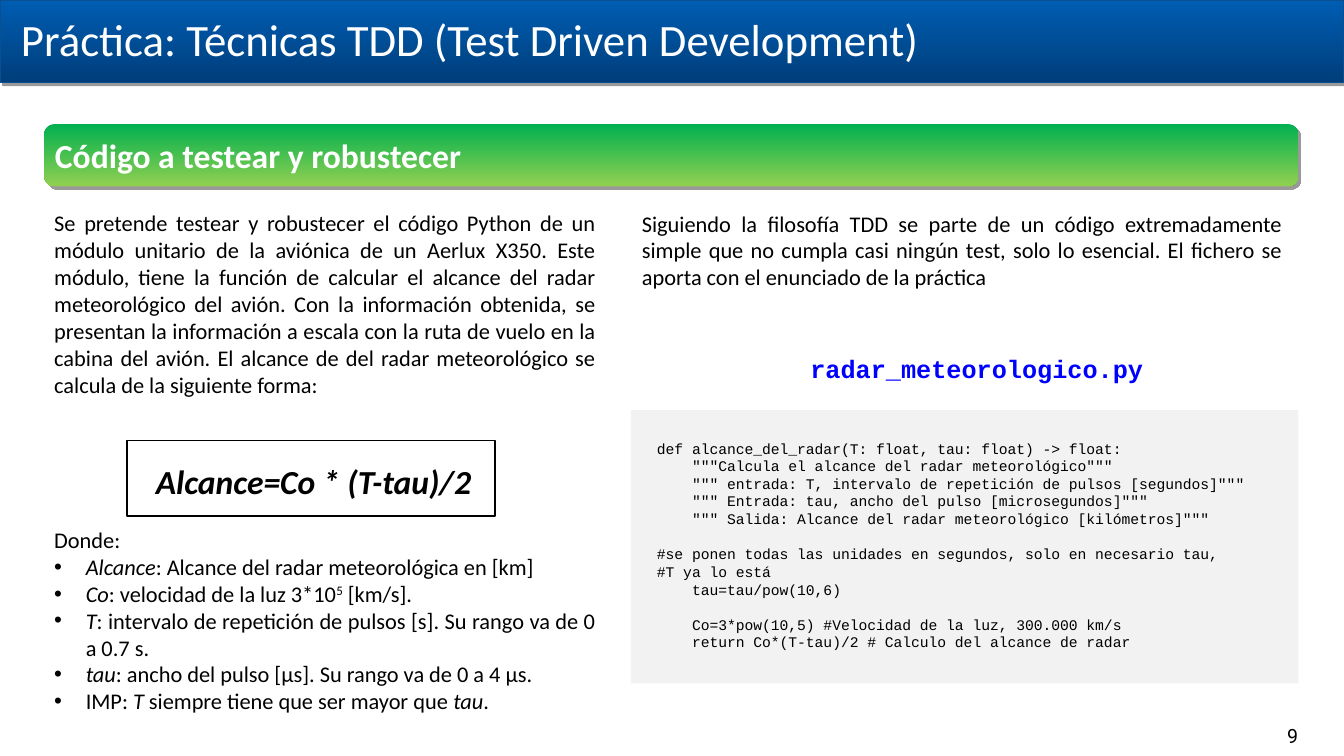
from dataclasses import dataclass

from lxml.etree import SubElement
from pptx import Presentation
from pptx.dml.color import RGBColor
from pptx.enum.shapes import MSO_SHAPE as Shape
from pptx.enum.text import MSO_ANCHOR as Anchor, PP_ALIGN as Align
from pptx.oxml.ns import qn
from pptx.util import Pt

TITLE = "Práctica: Técnicas TDD (Test Driven Development)"
SECTION = "Código a testear y robustecer"
INTRO = (
    "Se pretende testear y robustecer el código Python de un módulo unitario de la "
    "aviónica de un Aerlux X350. Este módulo, tiene la función de calcular el alcance "
    "del radar meteorológico del avión. Con la información obtenida, se presentan la "
    "información a escala con la ruta de vuelo en la cabina del avión. El alcance de del "
    "radar meteorológico se calcula de la siguiente forma:"
)
FORMULA = "Alcance=Co * (T-tau)/2"
# Each term is a list of (text, style) runs; style is "", "italic" or "super".
TERMS = [
    [("Alcance", "italic"), (": Alcance del radar meteorológica en [km]", "")],
    [("Co", "italic"), (": velocidad de la luz 3*10", ""), ("5", "super"), (" [km/s].", "")],
    [("T", "italic"),
     (": intervalo de repetición de pulsos [s]. Su rango va de 0 a 0.7 s.", "")],
    [("tau", "italic"), (": ancho del pulso [μs]. Su rango va de 0 a 4 μs.", "")],
    [("IMP: ", ""), ("T", "italic"), (" siempre tiene que ser mayor que ", ""),
     ("tau", "italic"), (".", "")],
]
APPROACH = (
    "Siguiendo la filosofía TDD se parte de un código extremadamente simple que no cumpla "
    "casi ningún test, solo lo esencial. El fichero se aporta con el enunciado de la práctica"
)
FILE_NAME = "radar_meteorologico.py"
CODE_BLOCKS = [
    ['def alcance_del_radar(T: float, tau: float) -> float:',
     '    """Calcula el alcance del radar meteorológico"""',
     '    """ entrada: T, intervalo de repetición de pulsos [segundos]"""',
     '    """ Entrada: tau, ancho del pulso [microsegundos]"""',
     '    """ Salida: Alcance del radar meteorológico [kilómetros]"""'],
    ["#se ponen todas las unidades en segundos, solo en necesario tau,",
     "#T ya lo está",
     "    tau=tau/pow(10,6)"],
    ["    Co=3*pow(10,5) #Velocidad de la luz, 300.000 km/s",
     "    return Co*(T-tau)/2 # Calculo del alcance de radar"],
]
PAGE_NUMBER = "9"


@dataclass(frozen=True)
class Theme:
    body_font: str = "Calibri"
    code_font: str = "Courier New"
    number_font: str = "Roboto"
    title_size: float = 32
    heading_size: float = 24
    file_size: float = 18
    body_size: float = 16
    number_size: float = 14
    code_size: float = 10.5
    black: str = "000000"
    white: str = "FFFFFF"
    file_blue: str = "0000FF"
    panel: str = "F2F2F2"
    header: tuple = ("005DB2", "003E7B")
    header_line: str = "085091"
    section: tuple = ("00B050", "92D050")


THEME = Theme()
WIDTH, HEIGHT = 960, 540
LEFT, RIGHT = 31.7, 927.4
COLUMN_TOP = 146.2
LEFT_WIDTH, RIGHT_COLUMN = 401, 451.4
BULLET_INDENT = 22.5
CODE_LINE = 12.6


def add_text(frame, text, first=False, size=THEME.body_size, font=THEME.body_font,
             color=THEME.black, bold=False, italic=False, align=Align.LEFT, before=0):
    """Write one paragraph; text is a string or a list of (text, style) runs."""
    paragraph = frame.paragraphs[0] if first else frame.add_paragraph()
    paragraph.alignment = align
    paragraph.space_before = Pt(before)
    for words, style in [(text, "")] if isinstance(text, str) else text:
        run = paragraph.add_run()
        run.text = words
        run.font.size, run.font.name = Pt(size), font
        run.font.bold, run.font.italic = bold, italic or style == "italic"
        run.font.color.rgb = RGBColor.from_string(color)
        if style == "super":
            run._r.get_or_add_rPr().set("baseline", "30000")
    return paragraph


def add_bullet(paragraph):
    properties = paragraph._p.get_or_add_pPr()
    properties.set("marL", str(Pt(BULLET_INDENT)))
    properties.set("indent", str(-Pt(BULLET_INDENT)))
    SubElement(properties, qn("a:buFont"), typeface="Arial")
    SubElement(properties, qn("a:buChar"), char="•")


def text_frame(slide, *box):
    frame = slide.shapes.add_textbox(*map(Pt, box)).text_frame
    frame.word_wrap = True
    return frame


def add_box(slide, kind, *box, fill=None, line=None):
    """Add a shape; fill is a colour, a (top, bottom) gradient or None."""
    shape = slide.shapes.add_shape(kind, *map(Pt, box))
    shape.shadow.inherit = False
    if fill is None:
        shape.fill.background()
    elif isinstance(fill, str):
        shape.fill.solid()
        shape.fill.fore_color.rgb = RGBColor.from_string(fill)
    else:
        shape.fill.gradient()
        shape.fill.gradient_angle = 270
        for stop, color in zip(shape.fill.gradient_stops, fill):
            stop.color.rgb = RGBColor.from_string(color)
    if line:
        shape.line.color.rgb = RGBColor.from_string(line)
        shape.line.width = Pt(1)
    else:
        shape.line.fill.background()
    return shape


def add_shadow(shape):
    effects = shape._element.spPr.find(qn("a:effectLst"))
    shadow = SubElement(effects, qn("a:outerShdw"), blurRad="0", dist=str(Pt(3)),
                        dir="2700000", algn="tl", rotWithShape="0")
    color = SubElement(shadow, qn("a:srgbClr"), val=THEME.black)
    SubElement(color, qn("a:alpha"), val="40000")


def add_banners(slide):
    add_shadow(add_box(slide, Shape.RECTANGLE, 0, 0, WIDTH, 59,
                       fill=THEME.header, line=THEME.header_line))
    add_text(text_frame(slide, 7.9, 5, 909, 46), TITLE, first=True,
             size=THEME.title_size, color=THEME.white)
    section = add_box(slide, Shape.ROUNDED_RECTANGLE, LEFT, 88.6, RIGHT - LEFT, 44.6,
                      fill=THEME.section)
    add_shadow(section)
    frame = section.text_frame
    frame.vertical_anchor = Anchor.MIDDLE
    frame.margin_left, frame.margin_right = Pt(5.4), 0
    add_text(frame, SECTION, first=True, size=THEME.heading_size,
             color=THEME.white, bold=True)


def add_explanation(slide):
    add_text(text_frame(slide, LEFT, COLUMN_TOP, LEFT_WIDTH, 144), INTRO, first=True,
             align=Align.JUSTIFY)
    frame = add_box(slide, Shape.RECTANGLE, 90.7, 314.6, 262.8, 54,
                    line=THEME.black).text_frame
    frame.vertical_anchor = Anchor.MIDDLE
    frame.margin_left, frame.margin_top = Pt(10.8), Pt(7.6)
    add_text(frame, FORMULA, first=True, size=THEME.heading_size, bold=True,
             italic=True, align=Align.CENTER)
    frame = text_frame(slide, LEFT, 372.4, LEFT_WIDTH, 144)
    add_text(frame, "Donde:", first=True, align=Align.JUSTIFY)
    for term in TERMS:
        add_bullet(add_text(frame, term, align=Align.JUSTIFY))


def add_code(slide):
    add_text(text_frame(slide, RIGHT_COLUMN, COLUMN_TOP, 471.6, 65.5), APPROACH,
             first=True, align=Align.JUSTIFY)
    add_text(text_frame(slide, 540.7, 249.1, 313.9, 28.8), FILE_NAME, first=True,
             size=THEME.file_size, font=THEME.code_font, color=THEME.file_blue,
             bold=True, align=Align.CENTER)
    add_box(slide, Shape.RECTANGLE, 450.7, 293, RIGHT - 450.7, 195.1, fill=THEME.panel)
    frame = text_frame(slide, 462.2, 310.3, 453.6, 159.8)
    for block_index, block in enumerate(CODE_BLOCKS):
        for line_index, line in enumerate(block):
            starts_block = line_index == 0
            starts_code = starts_block and block_index == 0
            add_text(frame, line, first=starts_code, size=THEME.code_size,
                     font=THEME.code_font,
                     before=CODE_LINE if starts_block and not starts_code else 0)


def main():
    presentation = Presentation()
    presentation.slide_width, presentation.slide_height = Pt(WIDTH), Pt(HEIGHT)
    slide = presentation.slides.add_slide(presentation.slide_layouts[6])
    add_banners(slide)
    add_explanation(slide)
    add_code(slide)
    add_text(text_frame(slide, 894.2, 513.4, 58.3, 24.5), PAGE_NUMBER, first=True,
             size=THEME.number_size, font=THEME.number_font, align=Align.CENTER)
    presentation.save("out.pptx")


if __name__ == "__main__":
    main()
